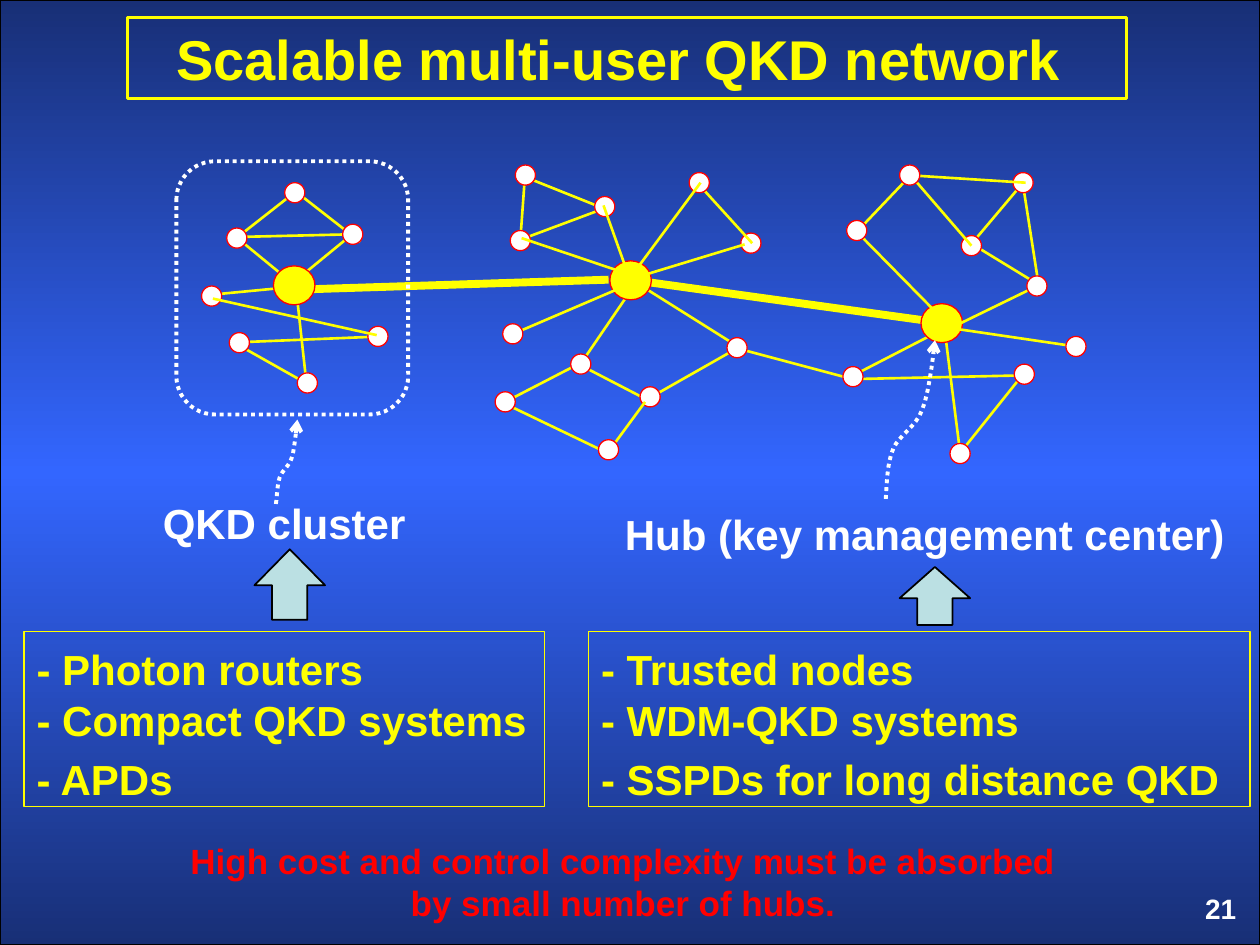
import pptx
import pptx.util
import pptx.dml.color
import pptx.enum.dml
import pptx.enum.shapes
import pptx.enum.text
import pptx.oxml.ns
import copy
import lxml.etree

Inches, Pt = pptx.util.Inches, pptx.util.Pt
SHAPE = pptx.enum.shapes.MSO_SHAPE
ALIGN = pptx.enum.text.PP_ALIGN
ANCHOR = pptx.enum.text.MSO_ANCHOR
DOTTED = pptx.enum.dml.MSO_LINE.ROUND_DOT
qn = pptx.oxml.ns.qn
YELLOW, WHITE, RED, BLACK = "FFFF00", "FFFFFF", "FF0000", "000000"


def color(value):
    return pptx.dml.color.RGBColor.from_string(value)


def write(box, text, size=24, fill=WHITE, align=ALIGN.CENTER, anchor=ANCHOR.TOP,
          top=0.05, right=0.1, before=0):
    frame = box.text_frame
    frame.word_wrap = True
    frame.auto_size = pptx.enum.text.MSO_AUTO_SIZE.NONE
    frame.vertical_anchor = anchor
    frame.margin_top, frame.margin_right = Inches(top), Inches(right)
    frame.text = text
    for index, para in enumerate(frame.paragraphs):
        props = para._p.get_or_add_pPr()
        props.set("marL", "0")
        props.set("indent", "0")
        lxml.etree.SubElement(props, qn("a:buNone"))
        para.alignment = align
        para.space_before = Pt(before if index else 0)
        for span in para.runs:
            span.font.name, span.font.size, span.font.bold = "Arial", Pt(size), True
            span.font.color.rgb = color(fill)


deck = pptx.Presentation()
deck.slide_width, deck.slide_height = Inches(10), Inches(7.5)
page = deck.slides.add_slide(deck.slide_layouts[3])
shapes = page.shapes

# Background: dark, bright, dark from top to bottom
back = page.background.fill
back.gradient()
back.gradient_angle = 90
stops = next(page.element.iter(qn("a:gsLst")))
stops.insert(1, copy.deepcopy(stops[0]))
for stop, position, shade in zip(back.gradient_stops, (0, 0.5, 1),
                                 ("182F76", "3366FF", "182F76")):
    stop.position = position
    stop.color.rgb = color(shade)

# Title and the two lists
title, cluster_list, hub_list = page.placeholders
framed = [
    (title, (1.01, 0.14, 7.93, 0.64), 1.5, "Scalable multi-user QKD network",
     dict(size=32, anchor=ANCHOR.MIDDLE, right=0.23)),
    (cluster_list, (0.19, 5.01, 4.13, 1.39), 0.75,
     "- Photon routers\v- Compact QKD systems\n- APDs", None),
    (hub_list, (4.67, 5.01, 5.25, 1.39), 0.75,
     "- Trusted nodes\v- WDM-QKD systems\n- SSPDs for long distance QKD", None),
]
list_format = dict(align=ALIGN.LEFT, top=0.1, before=5)
for box, place, weight, text, style in framed:
    box.left, box.top, box.width, box.height = map(Inches, place)
    box.line.color.rgb = color(YELLOW)
    box.line.width = Pt(weight)
    write(box, text, fill=YELLOW, **(style or list_format))

# Network layers, back to front: edges (x1, y1, x2, y2), then node corners
layers = [
    ([(4.81, 3.59, 4.04, 3.22), (5.87, 2.77, 6.77, 3.01), (8.09, 2.98, 6.72, 3.01),
      (5.84, 2.77, 5.17, 3.15), (8.12, 1.47, 8.24, 2.24), (8.12, 1.45, 7.69, 1.96),
      (3.97, 3.21, 4.57, 2.9), (7.47, 2.62, 6.81, 2.96), (8.08, 3.02, 7.64, 3.57),
      (7.5, 2.64, 7.62, 3.59), (5.15, 3.18, 4.61, 2.9), (4.11, 1.91, 4.78, 1.66),
      (4.13, 1.9, 4.17, 1.35), (4.83, 1.67, 4.13, 1.39), (5.84, 2.74, 5.06, 2.25),
      (4.6, 2.9, 5.01, 2.3), (2.48, 3.07, 1.93, 2.76), (2.44, 3.11, 2.33, 2.11),
      (3.04, 2.67, 1.82, 2.72), (2.4, 2.27, 1.67, 2.34), (2.36, 2.28, 1.86, 1.87),
      (2.27, 2.29, 2.77, 1.88), (1.85, 1.91, 2.36, 1.51), (2.86, 1.92, 2.36, 1.53),
      (2.78, 1.86, 1.92, 1.88)],
     [(4.72, 1.56), (5.88, 1.85), (4.05, 1.83), (5.77, 2.68), (4.53, 2.81),
      (2.26, 1.45), (2.72, 1.78), (1.8, 1.81), (1.6, 2.27), (2.92, 2.59),
      (1.82, 2.64), (2.36, 2.96), (8.05, 2.89), (6.69, 2.91), (7.54, 3.52),
      (4.09, 1.31)]),
    ([(2.99, 2.66, 1.69, 2.37), (5.91, 1.94, 4.99, 2.22), (4.05, 2.66, 5.03, 2.24),
      (5, 2.22, 4.79, 1.63), (5, 2.18, 4.14, 1.89), (5.97, 1.93, 5.57, 1.49),
      (8.26, 2.27, 7.72, 1.94), (8.19, 2.29, 7.45, 2.65), (6.84, 1.88, 7.44, 2.49)],
     [(3.99, 2.57), (5.47, 1.37), (8.15, 2.19), (7.63, 1.87), (5.08, 3.07),
      (8.04, 1.37), (3.93, 3.11)]),
    ([(4.99, 2.22, 5.56, 1.45), (8.14, 1.45, 7.2, 1.39), (7.27, 1.44, 7.71, 1.95),
      (6.8, 1.84, 7.2, 1.42), (8.47, 2.74, 7.52, 2.6), (4.87, 3.53, 5.12, 3.19)],
     [(6.72, 1.75), (7.14, 1.31), (8.46, 2.67), (4.75, 3.49)]),
]
trunks = [(4.83, 2.22, 2.32, 2.3), (7.46, 2.56, 5, 2.22)]
hubs = [(4.84, 2.07), (2.17, 2.11), (7.31, 2.41)]
for level, (edges, nodes) in enumerate(layers):
    links = [(edge, 1.5) for edge in edges]
    dots = [(node, 0.16, 0.16, WHITE) for node in nodes]
    if level == 0:
        links += [(trunk, 4.5) for trunk in trunks]
        dots += [(hub, 0.33, 0.31, YELLOW) for hub in hubs]
    for ends, weight in links:
        edge = shapes.add_connector(pptx.enum.shapes.MSO_CONNECTOR.STRAIGHT,
                                    *map(Inches, ends))
        edge.line.color.rgb = color(YELLOW)
        edge.line.width = Pt(weight)
        lxml.etree.SubElement(edge.element.spPr, qn("a:effectLst"))
    for (x, y), width, height, fill in dots:
        node = shapes.add_shape(SHAPE.OVAL, *map(Inches, (x, y, width, height)))
        node.shadow.inherit = False
        node.fill.solid()
        node.fill.fore_color.rgb = color(fill)
        node.line.color.rgb = color(RED)
        node.line.width = Pt(0.75)

# Page border, cluster outline and block arrows
outlines = [
    (SHAPE.RECTANGLE, (0, 0, 10, 7.5), None, BLACK, 0.75, None),
    (SHAPE.ROUNDED_RECTANGLE, (1.4, 1.28, 1.84, 2.01), None, WHITE, 2.25, None),
    (SHAPE.UP_ARROW, (2.02, 4.36, 0.56, 0.56), "BBE0E3", BLACK, 1, 0.51),
    (SHAPE.UP_ARROW, (7.14, 4.5, 0.56, 0.46), "BBE0E3", BLACK, 1, 0.54),
]
for kind, place, fill, stroke, weight, head in outlines:
    shape = shapes.add_shape(kind, *map(Inches, place))
    shape.shadow.inherit = False
    shape.line.color.rgb = color(stroke)
    shape.line.width = Pt(weight)
    if fill:
        shape.fill.solid()
        shape.fill.fore_color.rgb = color(fill)
        shape.adjustments[1] = head
    else:
        shape.fill.background()
    if kind == SHAPE.ROUNDED_RECTANGLE:
        shape.line.dash_style = DOTTED

# Dotted curved pointers: start, then three points for each Bezier piece
pointers = [
    [(7.03, 3.96), (7.04, 3.82), (7.04, 3.68), (7.09, 3.56), (7.14, 3.45),
     (7.27, 3.39), (7.32, 3.25), (7.38, 3.11), (7.42, 2.7), (7.42, 2.7)],
    [(2.19, 4), (2.2, 3.93), (2.2, 3.85), (2.22, 3.79), (2.24, 3.73),
     (2.3, 3.7), (2.32, 3.62), (2.34, 3.55), (2.36, 3.33), (2.36, 3.33)],
]
STEPS = 8
for points in pointers:
    curve = []
    for first in range(0, len(points) - 1, 3):
        for step in range(1, STEPS + 1):
            t = step / STEPS
            weights = ((1 - t) ** 3, 3 * t * (1 - t) ** 2, 3 * t * t * (1 - t), t ** 3)
            piece = points[first:first + 4]
            curve.append([Inches(sum(w * point[axis] for w, point in zip(weights, piece)))
                          for axis in (0, 1)])
    builder = shapes.build_freeform(*map(Inches, points[0]))
    builder.add_line_segments(curve, close=False)
    pointer = builder.convert_to_shape()
    pointer.shadow.inherit = False
    pointer.fill.background()
    pointer.line.color.rgb = color(WHITE)
    pointer.line.width = Pt(2.25)
    pointer.line.dash_style = DOTTED
    lxml.etree.SubElement(pointer.line._get_or_add_ln(), qn("a:tailEnd"), type="arrow")

# Labels, conclusion and page number
labels = [
    ("Hub (key management center)", (4.81, 3.99, 5.06, 0.5), {}),
    ("QKD cluster", (1, 3.9, 2.51, 0.5), {}),
    ("High cost and control complexity must be absorbed\nby small number of hubs.",
     (1.26, 6.61, 7.37, 0.77), dict(size=20, fill=RED)),
    ("21", (9.13, 7.03, 0.78, 0.52), dict(size=16, align=ALIGN.RIGHT)),
]
for text, place, style in labels:
    write(shapes.add_textbox(*map(Inches, place)), text, **style)

deck.save("out.pptx")
